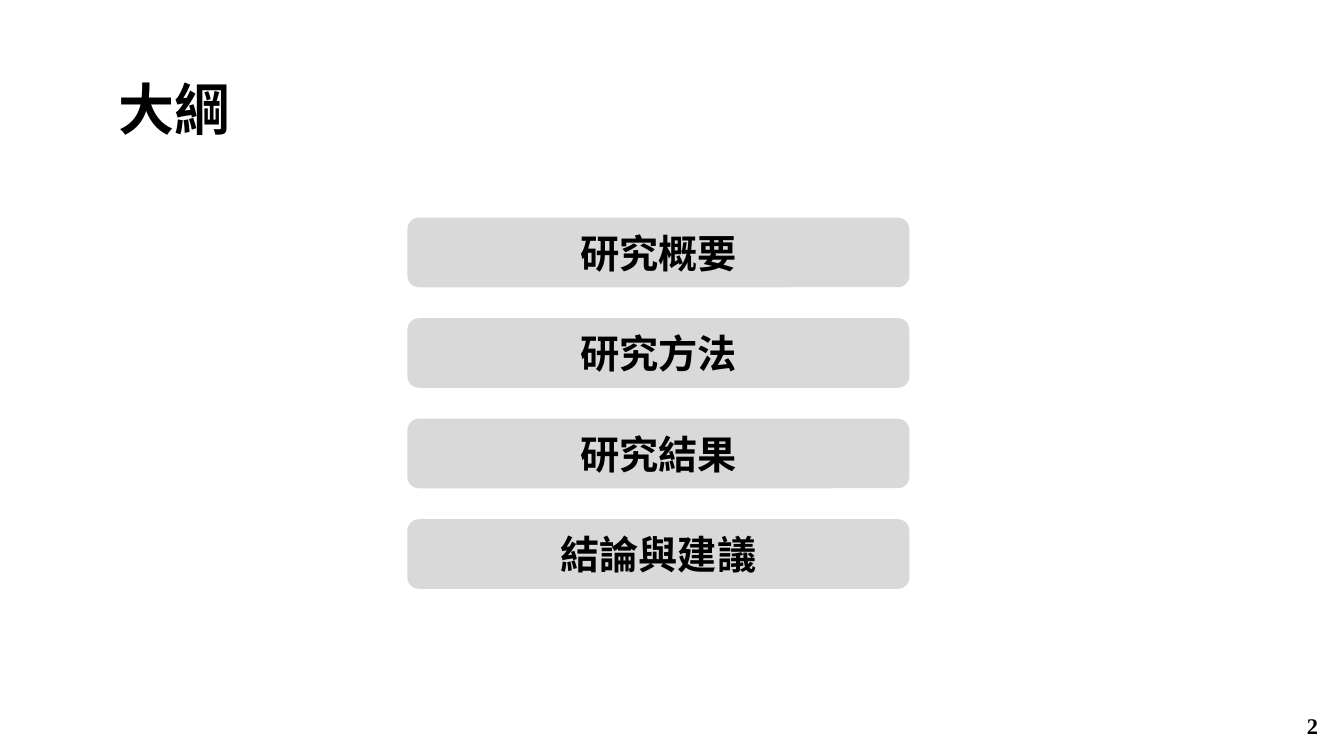
"""Build the outline slide: a title, four topic bars and a page number."""
from lxml.etree import SubElement
from pptx import Presentation
from pptx.dml.color import RGBColor
from pptx.enum.shapes import MSO_SHAPE as Shape
from pptx.enum.text import MSO_ANCHOR as Anchor, MSO_AUTO_SIZE as AutoSize, PP_ALIGN as Align
from pptx.oxml.ns import qn
from pptx.util import Inches, Pt

TITLE = "大綱"
TOPICS = ["研究概要", "研究方法", "研究結果", "結論與建議"]
PAGE_NUMBER = "2"

THEME = {
    "ink": RGBColor.from_string("000000"),
    "bar": RGBColor.from_string("D9D9D9"),
    "latin": "Times New Roman",
    "cjk": "Noto Sans CJK SC",
    "title": Pt(40),
    "topic": Pt(28),
    "number": Pt(16),
}

SLIDE_SIZE = (13.33, 7.5)
TITLE_BOX = (1.08, 0.69, 1.36, 0.77)
NUMBER_BOX = (10.17, 7.02, 3, 0.4)
BAR_LEFT, BAR_TOP, BAR_WIDTH, BAR_HEIGHT = 4.04, 2.16, 4.98, 0.69
BAR_STEP = 0.997


def write(shape, text, size, align, font_name, **frame_format):
    """Put one bold line of text into a shape."""
    frame = shape.text_frame
    for name, value in frame_format.items():
        setattr(frame, name, value)
    para = frame.paragraphs[0]
    para.alignment = align
    span = para.add_run()
    span.text = text
    span.font.color.rgb = THEME["ink"]
    for name, value in {"size": size, "bold": True, "name": font_name}.items():
        setattr(span.font, name, value)
    SubElement(span.font._element, qn("a:ea"), typeface=THEME["cjk"])


def add_bar(page, index, topic):
    """Add one rounded topic bar at its place in the column."""
    top = BAR_TOP + index * BAR_STEP
    place = map(Inches, (BAR_LEFT, top, BAR_WIDTH, BAR_HEIGHT))
    bar = page.shapes.add_shape(Shape.ROUNDED_RECTANGLE, *place)
    bar.shadow.inherit = False
    bar.fill.solid()
    bar.fill.fore_color.rgb = THEME["bar"]
    bar.line.fill.background()
    write(bar, topic, THEME["topic"], Align.CENTER, THEME["latin"],
          word_wrap=True, vertical_anchor=Anchor.MIDDLE)


def main():
    """Create the deck and save it."""
    deck = Presentation()
    deck.slide_width, deck.slide_height = map(Inches, SLIDE_SIZE)
    page = deck.slides.add_slide(deck.slide_layouts[6])

    title = page.shapes.add_textbox(*map(Inches, TITLE_BOX))
    write(title, TITLE, THEME["title"], Align.LEFT, THEME["cjk"],
          word_wrap=False, auto_size=AutoSize.SHAPE_TO_FIT_TEXT)

    for index, topic in enumerate(TOPICS):
        add_bar(page, index, topic)

    number = page.shapes.add_textbox(*map(Inches, NUMBER_BOX))
    write(number, PAGE_NUMBER, THEME["number"], Align.RIGHT, THEME["latin"],
          word_wrap=True)

    deck.save("out.pptx")


if __name__ == "__main__":
    main()
